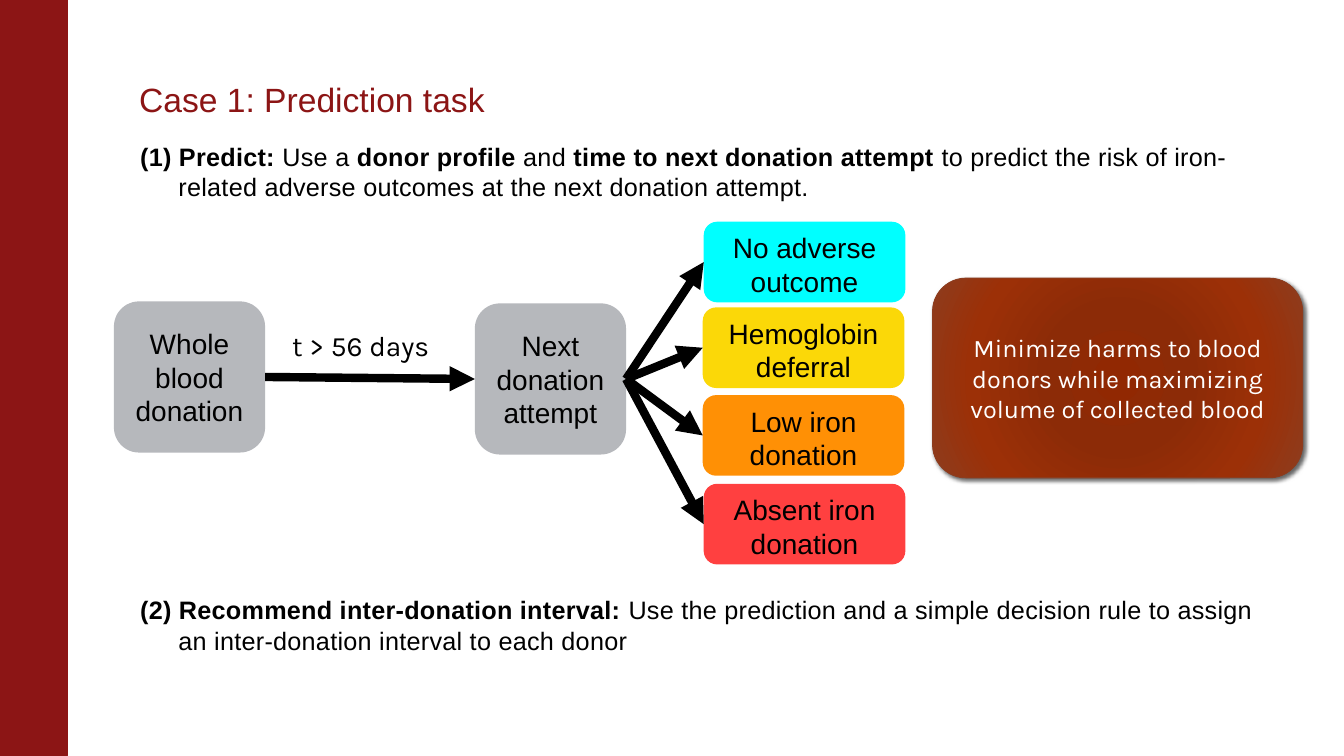
from lxml.etree import SubElement
from pptx import Presentation
from pptx.dml.color import RGBColor
from pptx.enum.shapes import MSO_CONNECTOR as Connector, MSO_SHAPE as Shape
from pptx.enum.text import MSO_ANCHOR as Anchor, PP_ALIGN as Align
from pptx.oxml import parse_xml
from pptx.oxml.ns import nsdecls, qn
from pptx.util import Inches, Pt

THEME = {
    "cardinal": "8C1515", "black": "000000", "white": "FFFFFF", "gray": "B6B8BC",
    "cyan": "00FFFF", "yellow": "FBD808", "orange": "FF9005", "red": "FF0000",
    "goal_edge": "8D3C1E",
    "goal_stops": [(0, "912802"), (34, "8C2B07"), (70, "9C3007"), (100, "8D3C1E")],
    "title": 24, "body": 18, "label": 20,
    "font": "Arial", "accent_font": "Karla",
}

presentation = Presentation()
presentation.slide_width, presentation.slide_height = Inches(13.33), Inches(7.5)
slide = presentation.slides.add_slide(presentation.slide_layouts[6])


def write(shape, runs, size, color="black", font="font", align=Align.LEFT, **frame_format):
    frame = shape.text_frame
    for name, value in {"word_wrap": True, "vertical_anchor": Anchor.TOP, **frame_format}.items():
        setattr(frame, name, value)
    paragraph = frame.paragraphs[0]
    paragraph.alignment = align
    for text, bold in runs:
        run = paragraph.add_run()
        run.text = text
        run.font.color.rgb = RGBColor.from_string(THEME[color])
        for name, value in {"name": THEME[font], "size": Pt(THEME[size]), "bold": bold}.items():
            setattr(run.font, name, value)
    return paragraph


def add_box(kind, bounds, fill, line=None):
    shape = slide.shapes.add_shape(kind, *map(Inches, bounds))
    shape.shadow.inherit = False
    shape.fill.solid()
    shape.fill.fore_color.rgb = RGBColor.from_string(THEME[fill])
    if line:
        shape.line.color.rgb = RGBColor.from_string(THEME[line])
        shape.line.width = Pt(0.75)
    else:
        shape.line.fill.background()
    return shape


add_box(Shape.RECTANGLE, (0, 0, 0.67, 7.5), "cardinal", "cardinal")

title = slide.shapes.add_textbox(*map(Inches, (1.38, 0.52, 11.24, 0.71)))
write(title, [("Case 1: Prediction task", False)], "title", "cardinal",
      vertical_anchor=Anchor.BOTTOM, margin_left=0).line_spacing = 0.85

steps = [
    (1.35, [("(1) Predict:", True), (" Use a ", False), ("donor profile", True), (" and ", False),
            ("time to next donation attempt", True),
            (" to predict the risk of iron-related adverse outcomes at the next donation attempt.", False)]),
    (5.85, [("(2) Recommend inter-donation interval:", True),
            (" Use the prediction and a simple decision rule to assign an inter-donation interval"
             " to each donor", False)]),
]
for top, runs in steps:
    step = slide.shapes.add_textbox(*map(Inches, (1.39, top, 11.15, 0.7)))
    paragraph = write(step, runs, "body", margin_left=0, margin_right=0)
    properties = paragraph._p.get_or_add_pPr()
    properties.set("marL", str(Inches(0.38)))
    properties.set("indent", str(-Inches(0.38)))
    for run in paragraph.runs:
        run.font._element.set("spc", "20")

goal = add_box(Shape.FLOWCHART_ALTERNATE_PROCESS, (9.25, 2.76, 3.67, 1.98), "goal_edge", "goal_edge")
write(goal, [("Minimize harms to blood donors while maximizing volume of collected blood", False)],
      "body", "white", "accent_font", Align.CENTER, vertical_anchor=Anchor.MIDDLE)
stops = "".join(f'<a:gs pos="{position * 1000}"><a:srgbClr val="{color}"/></a:gs>'
                for position, color in THEME["goal_stops"])
goal_properties = goal._element.spPr
goal_properties.replace(goal_properties.find(qn("a:solidFill")), parse_xml(
    f'<a:gradFill {nsdecls("a")} rotWithShape="1"><a:gsLst>{stops}</a:gsLst><a:path path="circle">'
    '<a:fillToRect l="100000" t="100000" r="100000" b="100000"/></a:path></a:gradFill>'))
goal_shadow = SubElement(goal_properties.find(qn("a:effectLst")), qn("a:outerShdw"),
                         blurRad=str(Pt(3)), dist=str(Pt(2)), dir="2700000", rotWithShape="0")
shadow_color = SubElement(goal_shadow, qn("a:srgbClr"), val=THEME["black"])
SubElement(shadow_color, qn("a:alpha"), val="60000")

donations = []
for left, top, text in [(1.13, 2.99, "Whole blood donation"), (4.71, 3.01, "Next donation attempt")]:
    donation = add_box(Shape.ROUNDED_RECTANGLE, (left, top, 1.5, 1.5), "gray")
    write(donation, [(text, False)], "label", align=Align.CENTER, vertical_anchor=Anchor.MIDDLE)
    donations.append(donation)
whole_blood, next_attempt = donations

interval = slide.shapes.add_textbox(*map(Inches, (2.8, 3.21, 2.02, 0.44)))
write(interval, [("t > 56 days", False)], "label", font="accent_font")

outcomes = []
for left, top, text, color in [
    (6.98, 2.2, "No adverse outcome", "cyan"),
    (6.97, 3.05, "Hemoglobin deferral", "yellow"),
    (6.97, 3.92, "Low iron donation", "orange"),
    (6.98, 4.8, "Absent iron donation", "red"),
]:
    outcome = add_box(Shape.ROUNDED_RECTANGLE, (left, top, 2, 0.8), color)
    write(outcome, [(text, False)], "label", align=Align.CENTER)
    outcomes.append(outcome)
absent_iron_color = outcomes[-1]._element.spPr.find(qn("a:solidFill"))[0]
SubElement(absent_iron_color, qn("a:alpha"), val="75000")

links = [(whole_blood, next_attempt)] + [(next_attempt, outcome) for outcome in outcomes]
for source, target in links:
    arrow = slide.shapes.add_connector(Connector.STRAIGHT, 0, 0, 0, 0)
    arrow.begin_connect(source, 3)
    arrow.end_connect(target, 1)
    arrow.line.color.rgb = RGBColor.from_string(THEME["black"])
    arrow.line.width = Pt(6)
    SubElement(arrow.line._get_or_add_ln(), qn("a:tailEnd"), type="triangle")
    SubElement(arrow._element.spPr, qn("a:effectLst"))

presentation.save("out.pptx")
